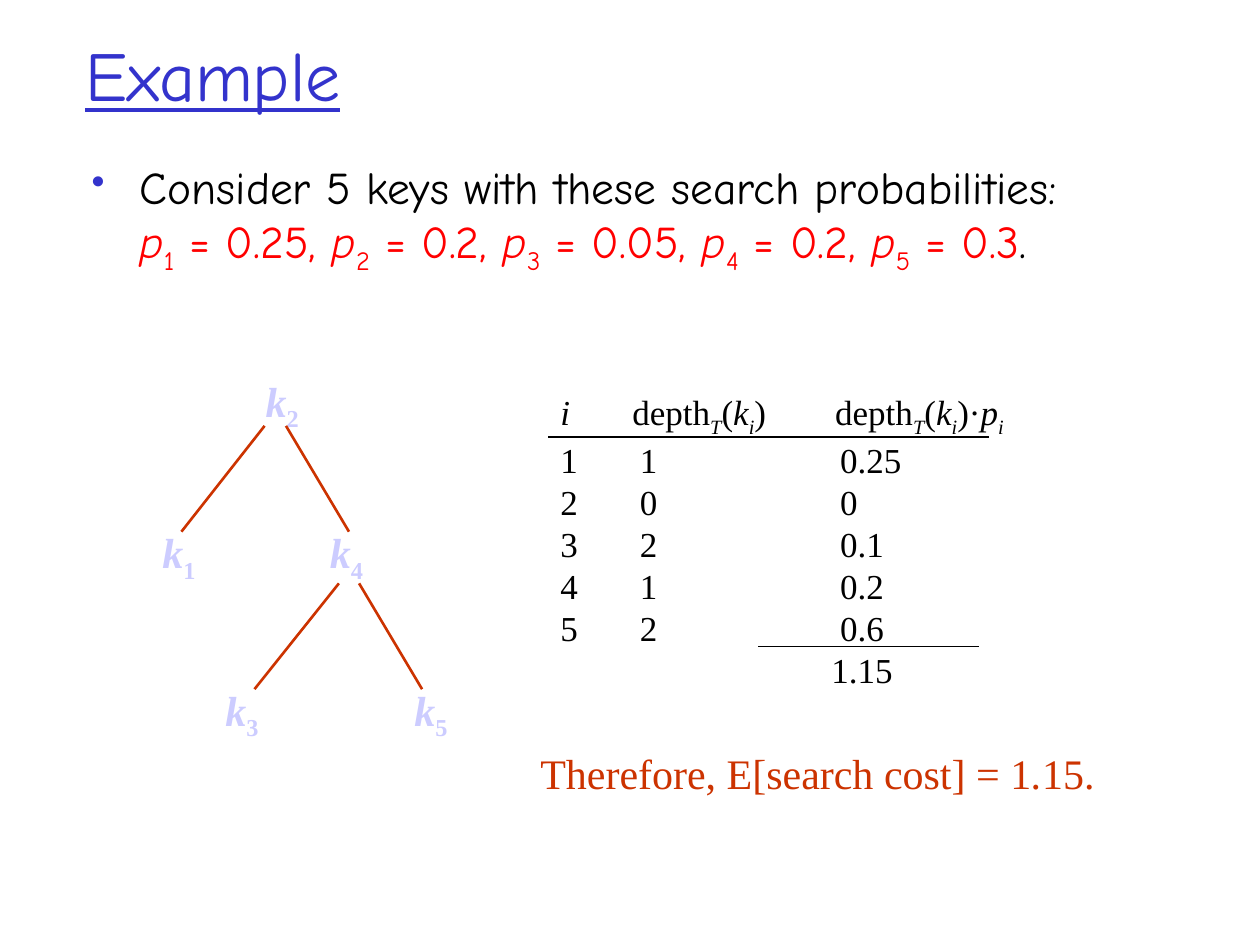
"""Build the slide on the expected search cost of a binary search tree."""
import itertools

import pptx
import pptx.chart.data
import pptx.dml.color
import pptx.enum.shapes
import pptx.enum.text
import pptx.oxml
import pptx.oxml.ns
import pptx.util

Inches = pptx.util.Inches
Pt = pptx.util.Pt
THEME = {
    "blue": "3333CC", "black": "000000", "red": "FF0000",
    "rust": "CC3300", "pale": "CCCCFF",
    "title": 40, "body": 26, "node": 24, "table": 20,
    "hand": "Comic Neue", "serif": "Times New Roman",
}


def tint(name):
    return pptx.dml.color.RGBColor.from_string(THEME[name])


def write(text, place, size, color, face="serif", bold=False, line=False,
          anchor="TOP", tabs=(), bullet=None):
    """Add a text box; '|' parts runs, '*' marks italic and '~' subscript."""
    box = slide.shapes.add_textbox(*map(Inches, place))
    frame = box.text_frame
    frame.word_wrap = True
    frame.vertical_anchor = getattr(pptx.enum.text.MSO_ANCHOR, anchor)
    rows = text.split("\n")
    for row, stops in itertools.zip_longest(rows, tabs, fillvalue=()):
        para = frame.paragraphs[0] if row is rows[0] else frame.add_paragraph()
        props = para._p.get_or_add_pPr()
        if bullet:
            props.set("marL", str(Inches(0.38)))
            props.set("indent", str(-Inches(0.38)))
            space = pptx.oxml.ns.nsdecls("a")
            for part in (f'<a:buClr {space}><a:srgbClr val="{THEME["blue"]}"/></a:buClr>',
                         f'<a:buSzPct {space} val="85000"/>',
                         f'<a:buChar {space} char="{bullet}"/>'):
                props.append(pptx.oxml.parse_xml(part))
        if stops:
            group = props.makeelement(pptx.oxml.ns.qn("a:tabLst"), {})
            props.append(group)
            for stop in stops:
                group.append(group.makeelement(
                    pptx.oxml.ns.qn("a:tab"), {"pos": str(Inches(stop)), "algn": "l"}))
        for piece in row.split("|"):
            if piece == "\v":
                para.add_line_break()
                continue
            words = piece.lstrip("*~")
            marks = piece[:len(piece) - len(words)]
            run = para.add_run()
            run.text = words
            font = run.font
            font.name, font.size = THEME[face], Pt(THEME[size])
            font.color.rgb = tint(color)
            font.bold, font.italic, font.underline = bold, "*" in marks, line
            if "~" in marks:
                run._r.get_or_add_rPr().set("baseline", "-25000")
    return frame


deck = pptx.Presentation()
deck.slide_width, deck.slide_height = Inches(10), Inches(7.5)
slide = deck.slides.add_slide(deck.slide_layouts[6])

write("Example", (0.58, 0.25, 8.5, 0.66), "title", "blue", face="hand",
      line=True, anchor="MIDDLE")

odds = ["0.25", "0.2", "0.05", "0.2", "0.3"]
terms = ", |".join(f"*p|~{key}| = {odd}" for key, odd in enumerate(odds, 1))
body = write(f"Consider 5 keys with these search probabilities:|\v|{terms}|.",
             (0.63, 1.21, 8.5, 1.52), "body", "red", face="hand", bullet="•")
runs = body.paragraphs[0].runs
for run in (runs[0], runs[-1]):
    run.font.color.rgb = tint("black")

nodes = {2: (2.01, 2.93), 1: (1.19, 4.13), 4: (2.52, 4.13),
         3: (1.69, 5.38), 5: (3.19, 5.38)}
for key, (left, top) in nodes.items():
    write(f"*k|~{key}", (left, top, 0.52, 0.56), "node", "pale", bold=True)

head = "*i|\tdepth|*~T|(|*k|*~i|)\tdepth|*~T|(|*k|*~i|)·|*p|*~i"
depths = [1, 0, 2, 1, 2]
costs = ["0.25", "0", "0.1", "0.2", "0.6"]
rows = [f"{key}\t{depth}\t{cost}"
        for key, (depth, cost) in enumerate(zip(depths, costs), 1)]
write("\n".join([head, *rows, "\t1.15"]), (4.35, 3.05, 5, 2.48), "table", "black",
      tabs=[(0.57, 2.18)] + [(0.63, 2.22)] * len(rows) + [(2.15,)])

write("Therefore, E[search cost] = 1|*.|15.", (4.19, 5.88, 4.7, 0.5), "node", "rust")

edges = [(2.1, 3.38, 1.44, 4.22), (2.27, 3.38, 2.77, 4.22),
         (2.69, 4.63, 2.02, 5.47), (2.85, 4.63, 3.35, 5.47)]
rules = [(4.35, 3.47, 7.85, 3.47), (6.02, 5.13, 7.77, 5.13)]
for ends, color, width in ([(edge, "rust", 1.5) for edge in edges]
                           + [(rule, "black", 1) for rule in rules]):
    link = slide.shapes.add_connector(
        pptx.enum.shapes.MSO_CONNECTOR.STRAIGHT, *map(Inches, ends))
    link.line.color.rgb = tint(color)
    link.line.width = Pt(width)
    link._element.spPr.append(pptx.oxml.parse_xml(
        f'<a:effectLst {pptx.oxml.ns.nsdecls("a")}/>'))

deck.save("out.pptx")
